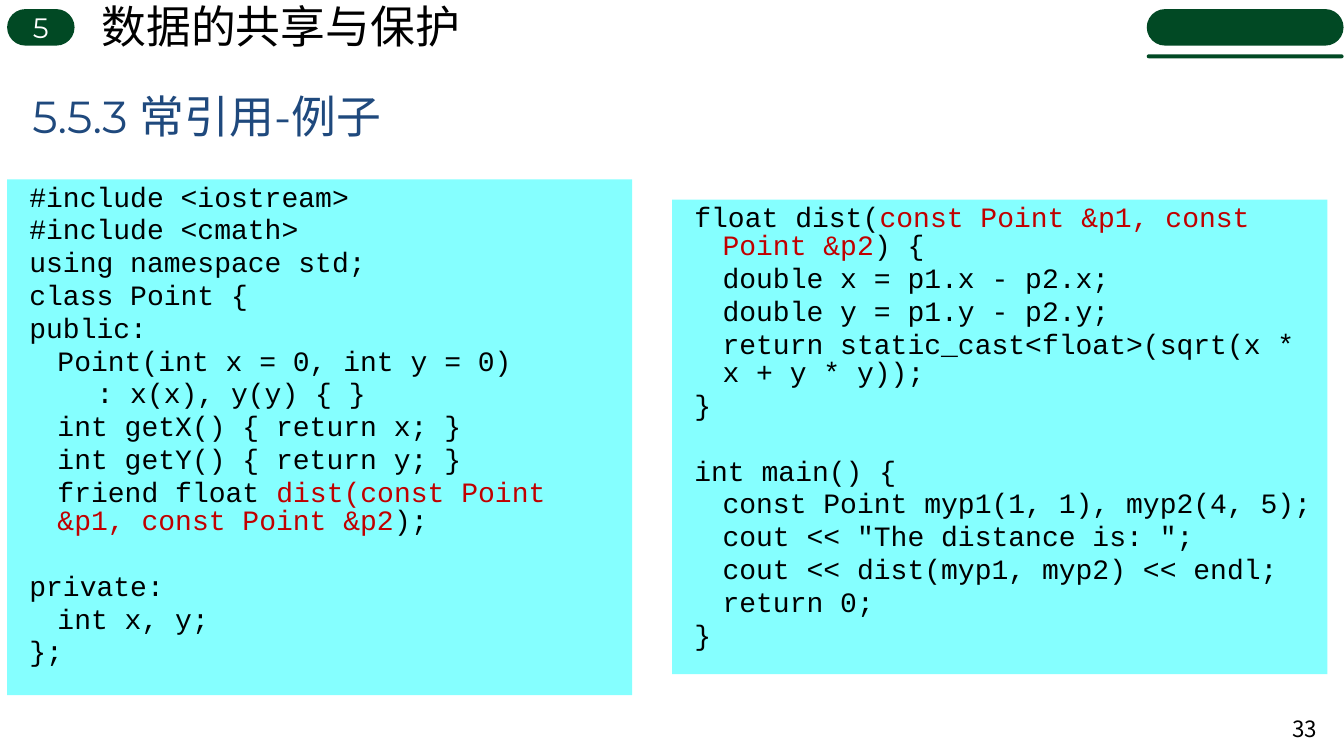
from pptx import Presentation
from pptx import util as u
from pptx.dml.color import RGBColor
from pptx.enum import shapes, text
from lxml import etree

GREEN, CYAN, NAVY = "014924", "85FFFF", "1F497D"
RED, BLACK, WHITE = "C00000", "000000", "FFFFFF"
DRAWING = "{http://schemas.openxmlformats.org/drawingml/2006/main}"


def color(value):
    return RGBColor.from_string(value)


class CodeSlide:
    """Holds the style and the current slide, and draws each kind of element."""

    chinese_font = "Noto Sans CJK SC"
    code_font = "Courier New"
    code_size = 20
    code_spacing = 0.85
    code_gap = 3
    empty_line = 23.4

    def __init__(self, presentation):
        self.slide = presentation.slides.add_slide(presentation.slide_layouts[5])

    def run(self, paragraph, words, size, font, ink):
        run = paragraph.add_run()
        run.text = words
        run.font.size = u.Pt(size)
        run.font.name = font
        run.font.color.rgb = color(ink)
        east_asian = etree.SubElement(run.font._element, DRAWING + "ea")
        east_asian.set("typeface", self.chinese_font)

    def block(self, kind, left, top, width, height, fill):
        shape = self.slide.shapes.add_shape(
            kind, u.Cm(left), u.Cm(top), u.Cm(width), u.Cm(height))
        shape.shadow.inherit = False
        shape.fill.solid()
        shape.fill.fore_color.rgb = color(fill)
        shape.line.fill.background()
        return shape

    def pill(self, left, top, width, height):
        shape = self.block(
            shapes.MSO_SHAPE.ROUNDED_RECTANGLE, left, top, width, height, GREEN)
        shape.adjustments[0] = 0.5
        return shape

    def badge(self, words, left, top, width, height):
        frame = self.pill(left, top, width, height).text_frame
        frame.margin_top = frame.margin_bottom = 0
        paragraph = frame.paragraphs[0]
        paragraph.alignment = text.PP_ALIGN.CENTER
        self.run(paragraph, words, 20, "Montserrat", WHITE)

    def title(self, words, left, top, width, height):
        shape = self.slide.shapes.title
        shape.left, shape.top = u.Cm(left), u.Cm(top)
        shape.width, shape.height = u.Cm(width), u.Cm(height)
        frame = shape.text_frame
        frame.auto_size = text.MSO_AUTO_SIZE.NONE
        frame.vertical_anchor = text.MSO_ANCHOR.MIDDLE
        paragraph = frame.paragraphs[0]
        paragraph.alignment = text.PP_ALIGN.LEFT
        paragraph.line_spacing = 0.9
        self.run(paragraph, words, 32, "Montserrat", NAVY)

    def label(self, words, left, top, width, height, size, font,
              align=text.PP_ALIGN.LEFT, anchor=text.MSO_ANCHOR.TOP, wrap=True):
        shape = self.slide.shapes.add_textbox(
            u.Cm(left), u.Cm(top), u.Cm(width), u.Cm(height))
        frame = shape.text_frame
        frame.word_wrap = wrap
        frame.vertical_anchor = anchor
        paragraph = frame.paragraphs[0]
        paragraph.alignment = align
        self.run(paragraph, words, size, font, BLACK)

    def code(self, sections, left, top, width, height):
        shape = self.block(
            shapes.MSO_SHAPE.RECTANGLE, left, top, width, height, CYAN)
        frame = shape.text_frame
        frame.word_wrap = True
        frame.vertical_anchor = text.MSO_ANCHOR.TOP
        for section_index, section in enumerate(sections):
            for line_index, line in enumerate(section):
                first = section_index == line_index == 0
                paragraph = frame.paragraphs[0] if first else frame.add_paragraph()
                paragraph.alignment = text.PP_ALIGN.LEFT
                paragraph.line_spacing = self.code_spacing
                if not first:
                    opens = line_index == 0
                    gap = self.code_gap + (self.empty_line if opens else 0)
                    paragraph.space_before = u.Pt(gap)
                properties = paragraph._p.get_or_add_pPr()
                properties.set("marL", str(u.Cm(1.02)))
                properties.set("indent", str(u.Cm(-0.71)))
                parts = [line] if isinstance(line, str) else line
                for part, ink in zip(parts, (BLACK, RED, BLACK)):
                    self.run(paragraph, part, self.code_size, self.code_font, ink)


CLASS_CODE = [
    [
        "#include <iostream>",
        "#include <cmath>",
        "using namespace std;",
        "class Point {",
        "public:",
        "\tPoint(int x = 0, int y = 0)",
        "    : x(x), y(y) { }",
        "\tint getX() { return x; }",
        "\tint getY() { return y; }",
        ("\tfriend float ", "dist(const Point &p1, const Point &p2", ");"),
    ],
    ["private:", "\tint x, y;", "};"],
]

MAIN_CODE = [
    [
        ("float dist(", "const Point &p1, const Point &p2", ") {"),
        "\tdouble x = p1.x - p2.x;",
        "\tdouble y = p1.y - p2.y;",
        "\treturn static_cast<float>(sqrt(x * x + y * y));",
        "}",
    ],
    [
        "int main() {",
        "\tconst Point myp1(1, 1), myp2(4, 5);",
        "\tcout << \"The distance is: \";",
        "\tcout << dist(myp1, myp2) << endl;",
        "\treturn 0;",
        "}",
    ],
]


def main():
    presentation = Presentation()
    presentation.slide_width = u.Cm(33.87)
    presentation.slide_height = u.Cm(19.05)
    page = CodeSlide(presentation)
    page.badge("5", 0.18, 0.23, 1.7, 0.92)
    page.label("数据的共享与保护", 2.31, -0.15, 9.63, 1.62, 32, "Arial", wrap=False)
    page.pill(28.9, 0.23, 4.96, 0.92)
    page.pill(28.9, 1.37, 4.96, 0.1)
    page.label("33", 32.2, 17.86, 1.25, 1.02, 16, page.chinese_font,
               text.PP_ALIGN.RIGHT, text.MSO_ANCHOR.MIDDLE)
    page.title("5.5.3 常引用-例子", 0.56, 2.18, 18.77, 1.62)
    page.code(CLASS_CODE, 0.18, 4.52, 15.75, 13)
    page.code(MAIN_CODE, 16.94, 5.03, 16.51, 11.96)
    presentation.save("out.pptx")


if __name__ == "__main__":
    main()
